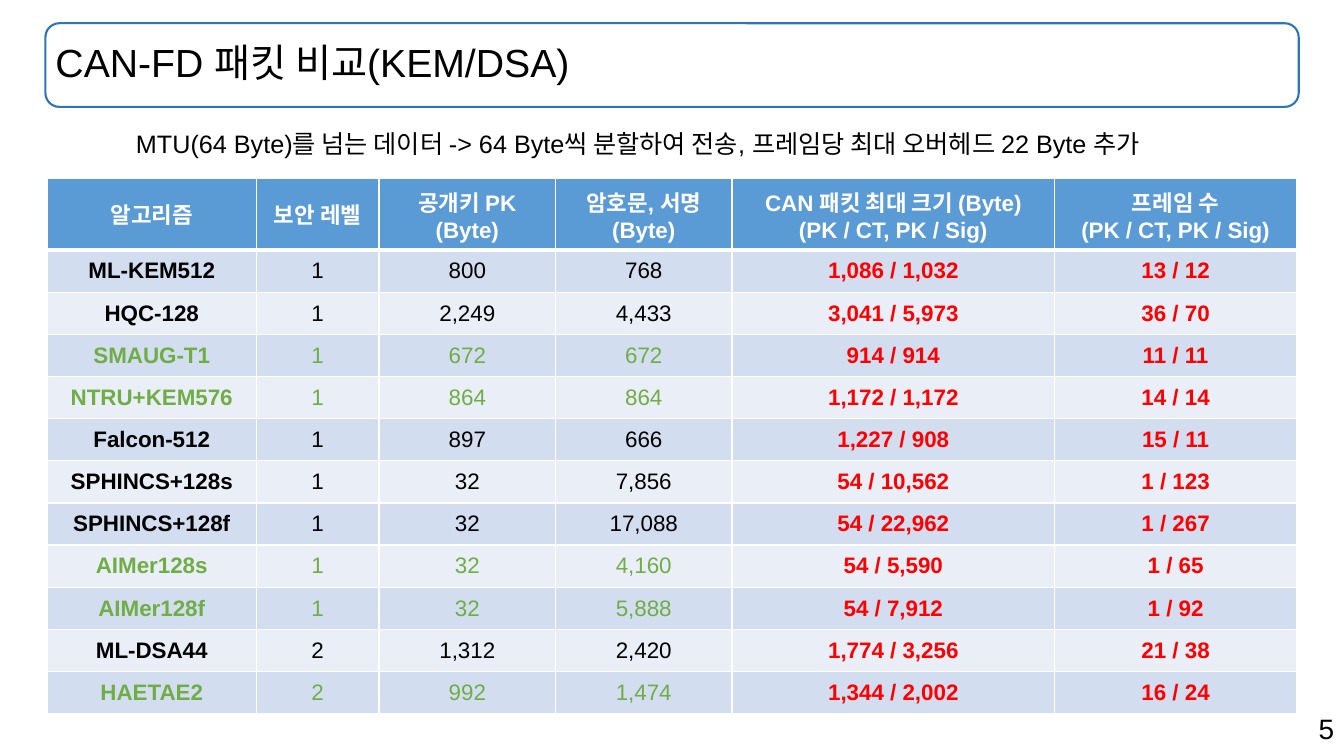
"""Build the slide that compares CAN-FD packets for KEM and DSA algorithms."""
from dataclasses import dataclass

from lxml.etree import SubElement
from pptx import Presentation
from pptx.dml.color import RGBColor
from pptx.enum.shapes import MSO_SHAPE
from pptx.enum.text import MSO_ANCHOR, MSO_AUTO_SIZE, PP_ALIGN
from pptx.oxml.ns import qn
from pptx.util import Inches, Pt


@dataclass(frozen=True)
class Theme:
    font: str = "Arial"
    black: str = "000000"
    white: str = "FFFFFF"
    red: str = "FF0000"
    green: str = "70AD47"
    frame: str = "2E75B6"
    header: str = "5B9BD5"
    bands: tuple = ("D2DEEF", "EAEFF7")
    title_size: int = 28
    number_size: int = 20
    note_size: int = 18
    table_size: int = 16


theme = Theme()
deck = Presentation()
deck.slide_width, deck.slide_height = Inches(13.33), Inches(7.5)
page = deck.slides.add_slide(deck.slide_layouts[5])


def area(left, top, width, height):
    """Turn percentages of the slide into a rectangle."""
    return (
        int(deck.slide_width * left / 100),
        int(deck.slide_height * top / 100),
        int(deck.slide_width * width / 100),
        int(deck.slide_height * height / 100),
    )


def write(frame, text, size, color, bold=False, align=PP_ALIGN.CENTER):
    """Fill a text frame and format its runs."""
    frame.text = text
    for para in frame.paragraphs:
        para.alignment = align
        for span in para.runs:
            span.font.name = theme.font
            span.font.size = Pt(size)
            span.font.bold = bold
            span.font.color.rgb = RGBColor.from_string(color)


title_area = area(3.38, 3.07, 93.25, 11.07)
title_frame = page.shapes.add_shape(MSO_SHAPE.ROUNDED_RECTANGLE, *title_area)
title_frame.shadow.inherit = False
title_frame.fill.background()
title_frame.line.color.rgb = RGBColor.from_string(theme.frame)
title_frame.line.width = Pt(1.5)

title = page.shapes.title
title.left, title.top, title.width, title.height = title_area
title.text_frame.auto_size = MSO_AUTO_SIZE.NONE
title.text_frame.vertical_anchor = MSO_ANCHOR.MIDDLE
write(title.text_frame, "CAN-FD 패킷 비교(KEM/DSA)", theme.title_size, theme.black,
      align=PP_ALIGN.LEFT)
title.text_frame.paragraphs[0].line_spacing = 0.9

labels = [
    (area(9.38, 16.27, 81.17, 5.33), theme.note_size, PP_ALIGN.LEFT,
     "MTU(64 Byte)를 넘는 데이터 -> 64 Byte씩 분할하여 전송, "
     "프레임당 최대 오버헤드 22 Byte 추가"),
    (area(70.74, 93.47, 29.26, 5.87), theme.number_size, PP_ALIGN.RIGHT, "5"),
]
for place, size, align, text in labels:
    box = page.shapes.add_textbox(*place)
    box.text_frame.word_wrap = True
    write(box.text_frame, text, size, theme.black, align=align)

headings = [
    "알고리즘",
    "보안 레벨",
    "공개키 PK\n(Byte)",
    "암호문, 서명\n(Byte)",
    "CAN 패킷 최대 크기 (Byte)\n(PK / CT, PK / Sig)",
    "프레임 수\n(PK / CT, PK / Sig)",
]
algorithms = [
    ("ML-KEM512", "1", "800", "768", "1,086 / 1,032", "13 / 12"),
    ("HQC-128", "1", "2,249", "4,433", "3,041 / 5,973", "36 / 70"),
    ("SMAUG-T1", "1", "672", "672", "914 / 914", "11 / 11"),
    ("NTRU+KEM576", "1", "864", "864", "1,172 / 1,172", "14 / 14"),
    ("Falcon-512", "1", "897", "666", "1,227 / 908", "15 / 11"),
    ("SPHINCS+128s", "1", "32", "7,856", "54 / 10,562", "1 / 123"),
    ("SPHINCS+128f", "1", "32", "17,088", "54 / 22,962", "1 / 267"),
    ("AIMer128s", "1", "32", "4,160", "54 / 5,590", "1 / 65"),
    ("AIMer128f", "1", "32", "5,888", "54 / 7,912", "1 / 92"),
    ("ML-DSA44", "2", "1,312", "2,420", "1,774 / 3,256", "21 / 38"),
    ("HAETAE2", "2", "992", "1,474", "1,344 / 2,002", "16 / 24"),
]
highlighted = {"SMAUG-T1", "NTRU+KEM576", "AIMer128s", "AIMer128f", "HAETAE2"}
rows = [headings, *algorithms]
column_shares = [2.07, 1.22, 1.75, 1.75, 3.2, 2.4]
row_shares = [1.7] + [1] * len(algorithms)

table_area = area(3.53, 23.6, 92.95, 70.8)
table = page.shapes.add_table(len(rows), len(headings), *table_area).table
for column, share in zip(table.columns, column_shares):
    column.width = int(table_area[2] * share / sum(column_shares))
for row, share in zip(table.rows, row_shares):
    row.height = int(table_area[3] * share / sum(row_shares))

for row_index, values in enumerate(rows):
    for column_index, value in enumerate(values):
        cell = table.cell(row_index, column_index)
        cell.vertical_anchor = MSO_ANCHOR.MIDDLE
        is_header = row_index == 0
        is_result = column_index >= 4
        if is_header:
            fill, color = theme.header, theme.white
        else:
            fill = theme.bands[(row_index - 1) % 2]
            color = theme.green if values[0] in highlighted else theme.black
            color = theme.red if is_result else color
        bold = is_header or is_result or column_index == 0
        write(cell.text_frame, value, theme.table_size, color, bold)

        properties = cell._tc.get_or_add_tcPr()
        for side in ("lnL", "lnR", "lnT", "lnB"):
            thick = (row_index, side) in {(0, "lnB"), (1, "lnT")}
            border = SubElement(properties, qn(f"a:{side}"), w=str(Pt(3 if thick else 1)))
            paint = SubElement(border, qn("a:solidFill"))
            SubElement(paint, qn("a:srgbClr"), val=theme.white)
        cell.fill.solid()
        cell.fill.fore_color.rgb = RGBColor.from_string(fill)

deck.save("out.pptx")
